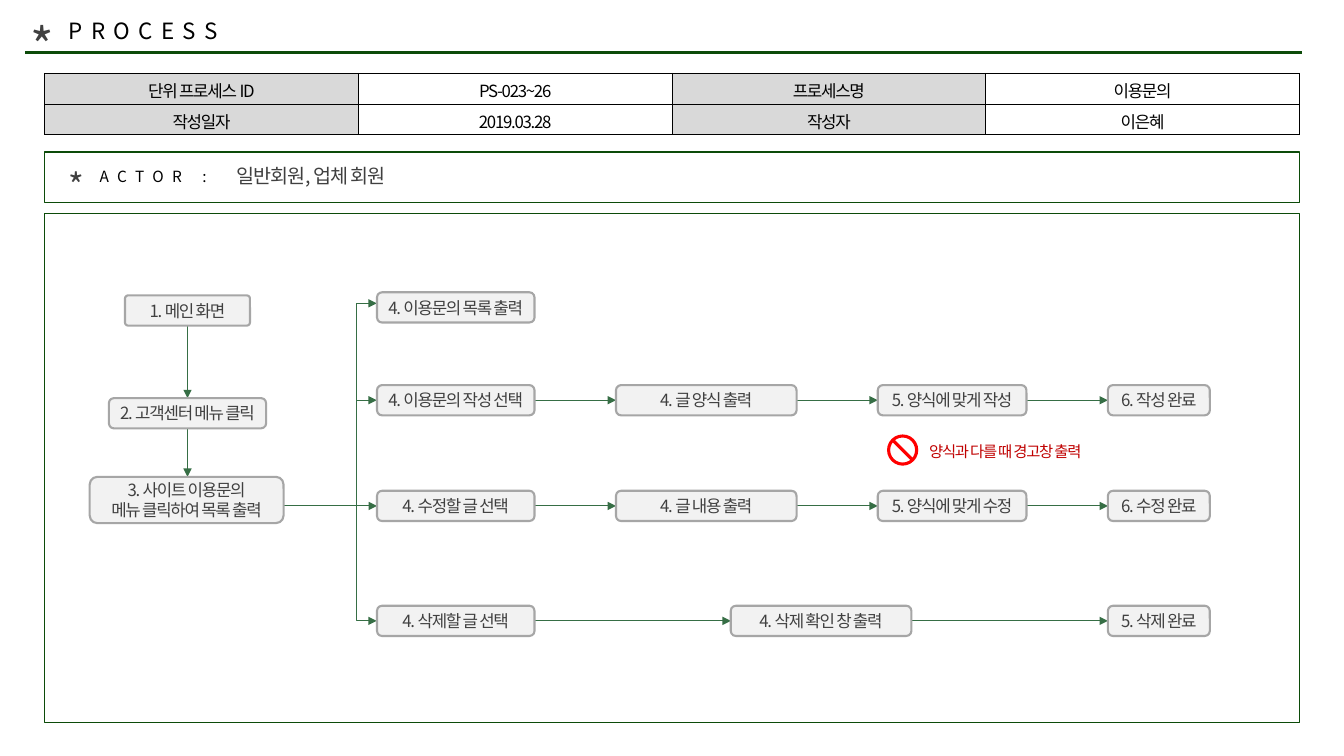
from dataclasses import dataclass

from lxml import etree
from pptx import Presentation
from pptx.dml.color import RGBColor
from pptx.enum.shapes import MSO_CONNECTOR, MSO_SHAPE
from pptx.enum.text import MSO_ANCHOR, MSO_AUTO_SIZE, PP_ALIGN
from pptx.oxml.ns import qn
from pptx.util import Pt

ELBOW, LINE = MSO_CONNECTOR.ELBOW, MSO_CONNECTOR.STRAIGHT
RECT, ROUND, STOP = MSO_SHAPE.RECTANGLE, MSO_SHAPE.ROUNDED_RECTANGLE, MSO_SHAPE.NO_SYMBOL
TOP, MID = MSO_ANCHOR.TOP, MSO_ANCHOR.MIDDLE
LEFT, MIDDLE = PP_ALIGN.LEFT, PP_ALIGN.CENTER
GROW = MSO_AUTO_SIZE.SHAPE_TO_FIT_TEXT

FACE = "Noto Sans CJK KR"
COLORS = {
    "ink": "000000", "text": "404040", "warn": "C00000", "stop": "FF0000",
    "frame": "0C4B09", "arrow": "366E45", "node": "F2F2F2", "edge": "A6A6A6",
    "head": "D9D9D9",
}
TIGHT, WIDE = -0.9, 6


@dataclass
class Label:
    text: str
    left: float
    top: float
    width: float
    height: float
    size: float
    color: str = "text"
    gap: float = TIGHT


@dataclass
class Node:
    text: str
    left: float
    top: float
    width: float
    height: float = 21.6
    round: float = 0.167

    @property
    def right(self) -> float:
        return self.left + self.width

    @property
    def foot(self) -> float:
        return self.top + self.height

    @property
    def mid(self) -> float:
        return self.top + self.height / 2

    @property
    def axis(self) -> float:
        return self.left + self.width / 2


# Column positions and widths, row tops
COLS = {"pick": (269.3, 112.5), "form": (440, 129), "fill": (627, 106.2),
        "ask": (522, 129), "done": (791.4, 72.8)}
LIST, WRITE, EDIT, DROP = 208.8, 275.1, 350.6, 432.7
FLOWS = {
    LIST: {"pick": "4. 이용문의 목록 출력"},
    WRITE: {"pick": "4. 이용문의 작성 선택", "form": "4. 글 양식 출력",
            "fill": "5. 양식에 맞게 작성", "done": "6. 작성 완료"},
    EDIT: {"pick": "4. 수정할 글 선택", "form": "4. 글 내용 출력",
           "fill": "5. 양식에 맞게 수정", "done": "6. 수정 완료"},
    DROP: {"pick": "4. 삭제할 글 선택", "ask": "4. 삭제 확인 창 출력",
           "done": "5. 삭제 완료"},
}
START = [
    Node("1. 메인 화면", 89.3, 211, 89.3, round=0.103),
    Node("2. 고객센터 메뉴 클릭", 77.8, 284.4, 112.3),
    Node("3. 사이트 이용문의\n메뉴 클릭하여 목록 출력", 64.1, 340.6, 138.5, 33.1),
]
LABELS = [
    Label("*", 14.4, 7.2, 37.4, 51, 36),
    Label("*", 41.8, 114.5, 37.4, 36, 24),
    Label("ACTOR :", 64.1, 115.9, 95.8, 21, 11, "ink", WIDE),
    Label("일반회원, 업체 회원", 162, 113.8, 311, 24.5, 14),
    Label("양식과 다를 때 경고창 출력", 656.6, 312.5, 188, 21, 11, "warn"),
]
TITLE = Label("PROCESS", 41.8, 8.6, 311, 26.6, 16, "ink", WIDE)
TABLE = [["단위 프로세스 ID", "PS-023~26", "프로세스명", "이용문의"],
         ["작성일자", "2019.03.28", "작성자", "이은혜"]]
EDGE, SPAN = 31.9, 896.4
TRUNK, TIP = 254.9, 269


def rgb(name: str) -> RGBColor:
    return RGBColor.from_string(COLORS[name])


def style(frame, size: float, color: str, gap: float, align) -> None:
    for para in frame.paragraphs:
        para.alignment = align
        for run in para.runs:
            font = run.font
            font.size, font.name, font.bold = Pt(size), FACE, False
            font.color.rgb = rgb(color)
            props = run.font._element
            props.set("spc", str(round(gap * 100)))
            etree.SubElement(props, qn("a:ea")).set("typeface", FACE)


def place(shape, label: Label) -> None:
    shape.left, shape.top = Pt(label.left), Pt(label.top)
    shape.width, shape.height = Pt(label.width), Pt(label.height)
    frame = shape.text_frame
    frame.text = label.text
    frame.word_wrap, frame.auto_size = True, GROW
    frame.vertical_anchor = TOP
    style(frame, label.size, label.color, label.gap, LEFT)


def draw_line(shapes, kind, x1: float, y1: float, x2: float, y2: float,
              color: str = "arrow", width: float = 0.75, head: bool = True):
    link = shapes.add_connector(kind, Pt(x1), Pt(y1), Pt(x2), Pt(y2))
    link.line.color.rgb, link.line.width = rgb(color), Pt(width)
    if head:
        etree.SubElement(link.line._get_or_add_ln(), qn("a:tailEnd")).set("type", "triangle")
    etree.SubElement(link._element.spPr, qn("a:effectLst"))
    return link


def draw_bend(shapes, y1: float, y2: float) -> None:
    """Go along the trunk from y1 to y2, then right to the tip."""
    x, y = (TRUNK + TIP) / 2, (y1 + y2) / 2
    long, wide = abs(y2 - y1) / 2, (TIP - TRUNK) / 2
    side, turn = (wide, 90) if y2 < y1 else (-wide, 270)
    link = draw_line(shapes, ELBOW, x + long, y + side, x - long, y - side)
    props = link._element.spPr
    props.find(qn("a:xfrm")).set("rot", str(turn * 60000))
    props.find(qn("a:prstGeom")).set("prst", "bentConnector2")


def draw_shape(shapes, kind, left: float, top: float, width: float, height: float,
               fill: str = "", line: str = "", weight: float = 1):
    shape = shapes.add_shape(kind, Pt(left), Pt(top), Pt(width), Pt(height))
    shape.shadow.inherit = False
    if fill:
        shape.fill.solid()
        shape.fill.fore_color.rgb = rgb(fill)
    else:
        shape.fill.background()
    if line:
        shape.line.color.rgb, shape.line.width = rgb(line), Pt(weight)
    else:
        shape.line.fill.background()
    return shape


def draw_node(shapes, node: Node) -> None:
    shape = draw_shape(shapes, ROUND, node.left, node.top, node.width, node.height,
                       "node", "edge", 1.5)
    shape.adjustments[0] = node.round
    frame = shape.text_frame
    frame.margin_left = frame.margin_right = Pt(2.9)
    frame.margin_top = frame.margin_bottom = Pt(2.9)
    frame.vertical_anchor, frame.word_wrap = MID, True
    frame.text = node.text
    style(frame, 12, "text", TIGHT, MIDDLE)


def draw_table(shapes) -> None:
    rows, cols = len(TABLE), len(TABLE[0])
    table = shapes.add_table(rows, cols, Pt(EDGE), Pt(52.2), Pt(SPAN), Pt(22 * rows)).table
    table.first_row = table.horz_banding = False
    for r, words in enumerate(TABLE):
        for c, word in enumerate(words):
            cell = table.cell(r, c)
            cell.text, cell.vertical_anchor = word, MID
            style(cell.text_frame, 12, "ink", TIGHT, MIDDLE)
            props = cell._tc.get_or_add_tcPr()
            for tag in ("a:lnL", "a:lnR", "a:lnT", "a:lnB"):
                line = etree.SubElement(props, qn(tag), w=str(Pt(0.5)))
                paint = etree.SubElement(line, qn("a:solidFill"))
                etree.SubElement(paint, qn("a:srgbClr"), val=COLORS["ink"])
            if c % 2 == 0:
                cell.fill.solid()
                cell.fill.fore_color.rgb = rgb("head")
            else:
                cell.fill.background()


def main() -> None:
    deck = Presentation()
    deck.slide_width, deck.slide_height = Pt(960), Pt(540)
    slide = deck.slides.add_slide(deck.slide_layouts[5])
    shapes = slide.shapes

    # Heading, table and frames
    place(shapes.title, TITLE)
    draw_line(shapes, LINE, 18, 37.4, 930.2, 37.4, "frame", 2.25, False)
    draw_table(shapes)
    for top, height in ((108.7, 36), (152.6, 363.6)):
        draw_shape(shapes, RECT, EDGE, top, SPAN, height, line="frame")
    for label in LABELS:
        place(shapes.add_textbox(0, 0, 0, 0), label)

    # Arrows down the first column and out to the branches
    for up, down in zip(START, START[1:]):
        draw_line(shapes, LINE, up.axis, up.foot, up.axis, down.top)
    stem = EDIT + 10.8
    draw_line(shapes, LINE, START[1].right, stem, COLS["pick"][0], stem)
    for begin, end in ((365, 285.9), (365, 443.5), (308.2, 216.7)):
        draw_bend(shapes, begin, end)

    # Flow rows
    for top, steps in FLOWS.items():
        nodes = [Node(text, COLS[col][0], top, COLS[col][1]) for col, text in steps.items()]
        for node, after in zip(nodes, nodes[1:]):
            draw_line(shapes, LINE, node.right, node.mid, after.left, after.mid)
        for node in nodes:
            draw_node(shapes, node)
    for node in START:
        draw_node(shapes, node)

    # Warning sign
    sign = draw_shape(shapes, STOP, 633.6, 310.3, 22.3, 22.3, "stop")
    sign.adjustments[0] = 0.1
    deck.save("out.pptx")


if __name__ == "__main__":
    main()
